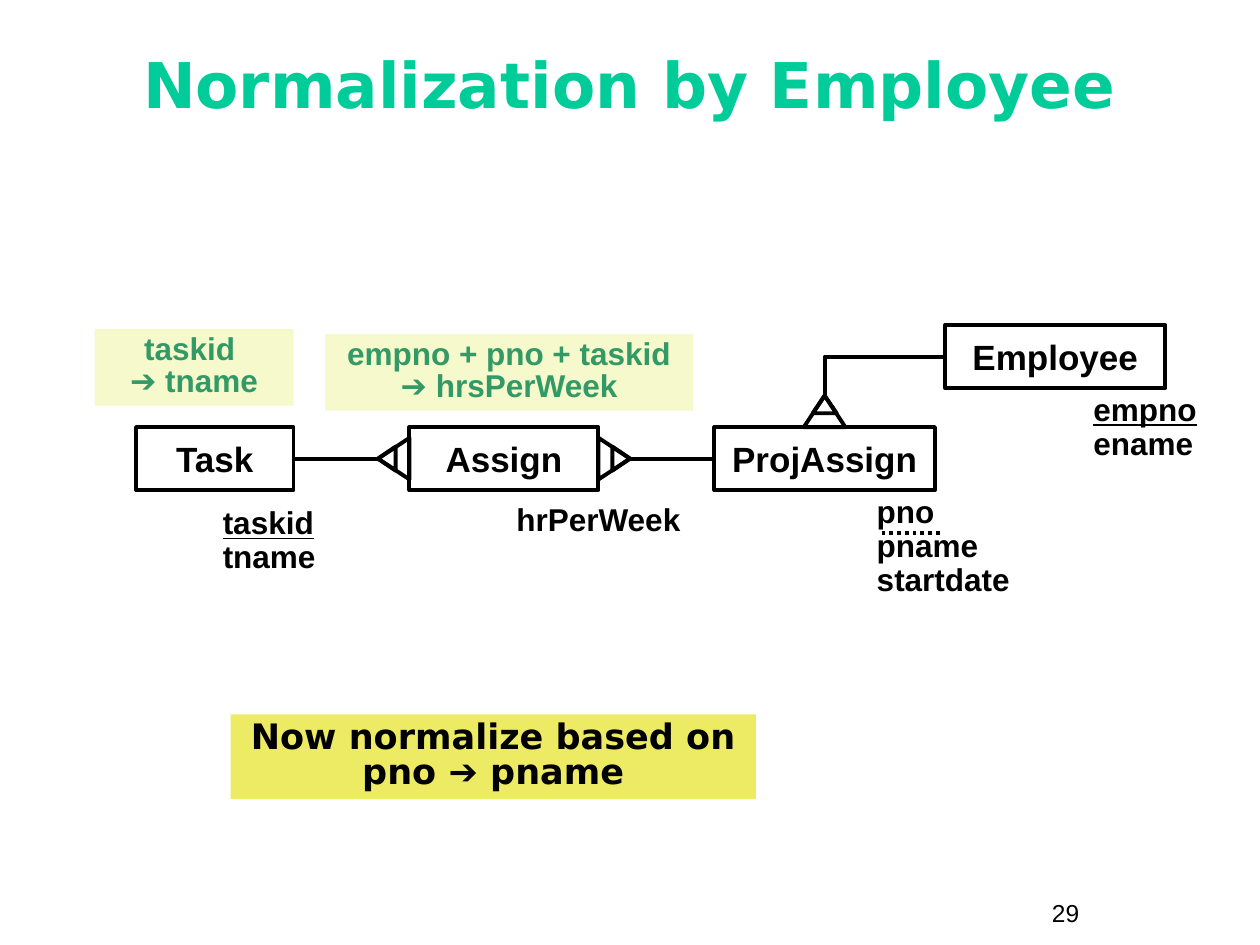
from collections import namedtuple
from math import cos, radians, sin

from lxml.etree import SubElement
from pptx import Presentation
from pptx.dml.color import RGBColor
from pptx.enum.dml import MSO_LINE_DASH_STYLE as Dash
from pptx.enum.shapes import MSO_CONNECTOR as Connector, MSO_SHAPE as Shape
from pptx.enum.text import MSO_ANCHOR as Anchor, MSO_AUTO_SIZE as AutoSize, PP_ALIGN as Align
from pptx.oxml.ns import qn
from pptx.util import Inches, Pt

BLACK = RGBColor(0x00, 0x00, 0x00)
TITLE_GREEN = RGBColor(0x00, 0xCC, 0x99)
RULE_GREEN = RGBColor(0x33, 0x99, 0x66)
PALE_YELLOW = RGBColor(0xF6, 0xF9, 0xCB)
YELLOW = RGBColor(0xED, 0xEA, 0x63)
LINE_WIDTH = Pt(2.25)
TOP, LEFT, RIGHT = 0, 1, 3

Box = namedtuple("Box", "left top width height")


def inch_box(*lengths):
    return Box(*map(Inches, lengths))


def apply_format(target, values):
    for name, value in values.items():
        setattr(target, name, value)


def write_text(frame, paragraphs, color=BLACK, frame_format=None, para_format=None, **font_format):
    apply_format(frame, {"word_wrap": True, "vertical_anchor": Anchor.TOP, **(frame_format or {})})
    for index, spans in enumerate(paragraphs):
        para = frame.add_paragraph() if index else frame.paragraphs[0]
        apply_format(para, para_format or {})
        for text, changes in spans:
            for number, line in enumerate(text.split("\n")):
                if number:
                    para.add_line_break()
                span = para.add_run()
                span.text = line
                apply_format(span.font, {"name": "Arial", "bold": True, **font_format, **changes})
                span.font.color.rgb = color


def add_outline(shapes, kind, box):
    shape = shapes.add_shape(kind, *box)
    shape.shadow.inherit = False
    shape.fill.background()
    shape.line.color.rgb = BLACK
    shape.line.width = LINE_WIDTH
    return shape


def add_line(page, kind, start, end):
    line = page.shapes.add_connector(kind, *start, *end)
    line.line.color.rgb = BLACK
    line.line.width = LINE_WIDTH
    SubElement(line._element.spPr, qn("a:effectLst"))
    return line


def draw_title(page, box, text):
    title = page.shapes.title
    apply_format(title, box._asdict())
    write_text(title.text_frame, [[(text, {})]], TITLE_GREEN,
               {"vertical_anchor": Anchor.MIDDLE, "auto_size": AutoSize.NONE},
               {"alignment": Align.CENTER, "line_spacing": 0.85},
               name="DejaVu Sans", size=Pt(36))


def draw_entity(page, box, name, label, attributes):
    entity = add_outline(page.shapes, Shape.RECTANGLE, box)
    write_text(entity.text_frame, [[(name, {})]],
               frame_format={"word_wrap": False, "vertical_anchor": Anchor.MIDDLE},
               para_format={"alignment": Align.CENTER, "space_before": Pt(12.5)}, size=Pt(20))
    text_box = page.shapes.add_textbox(box.left + label.left, box.top + label.top,
                                       label.width, label.height)
    write_text(text_box.text_frame, attributes, frame_format={"auto_size": AutoSize.SHAPE_TO_FIT_TEXT},
               para_format={"line_spacing": 0.9}, size=Pt(18))
    return entity


def draw_crows_foot(page, entity, side):
    angle = {TOP: 0, RIGHT: 90, LEFT: 270}[side]
    across, up = sin(radians(angle)), cos(radians(angle))
    middle_x = entity.left + entity.width / 2
    middle_y = entity.top + entity.height / 2
    edge_x = middle_x + across * entity.width / 2
    edge_y = middle_y - up * entity.height / 2
    foot = page.shapes.add_group_shape()
    for width, height, reach in ((0.33, 0.25, 0.125), (0.19, 0.14, 0.18)):
        center_x = edge_x + across * Inches(reach)
        center_y = edge_y - up * Inches(reach)
        box = Box(int(center_x - Inches(width) / 2), int(center_y - Inches(height) / 2),
                  Inches(width), Inches(height))
        add_outline(foot.shapes, Shape.ISOSCELES_TRIANGLE, box).rotation = angle
    return (int(edge_x + across * Inches(0.25)), int(edge_y - up * Inches(0.25)))


def draw_straight_relation(page, one, one_side, many, many_side):
    apex = draw_crows_foot(page, many, many_side)
    add_line(page, Connector.STRAIGHT, apex, apex).begin_connect(one, one_side)


def draw_bent_relation(page, one, many):
    apex = draw_crows_foot(page, many, TOP)
    start = (one.left, one.top + one.height // 2)
    line = add_line(page, Connector.ELBOW, start, apex)
    line._element.spPr.find(qn("a:prstGeom")).set("prst", "bentConnector2")


def draw_partial_key(page, entity):
    left, y = entity.left + Inches(1.33), entity.top + Inches(0.84)
    line = add_line(page, Connector.STRAIGHT, (left + Inches(0.46), y), (left, y))
    line.line.dash_style = Dash.ROUND_DOT


def draw_note(page, box, spans, fill, color, space_before, **font_format):
    note = page.shapes.add_shape(Shape.RECTANGLE, *box)
    note.shadow.inherit = False
    note.fill.solid()
    note.fill.fore_color.rgb = fill
    note.line.fill.background()
    write_text(note.text_frame, [spans], color, {"auto_size": AutoSize.SHAPE_TO_FIT_TEXT},
               {"alignment": Align.CENTER, "line_spacing": 0.85, "space_before": space_before},
               **font_format)


def draw_page_number(page, box, number):
    text_box = page.shapes.add_textbox(*box)
    write_text(text_box.text_frame, [[(number, {})]], para_format={"space_before": Pt(8.8)},
               size=Pt(14), bold=False)


def draw_diagram(page):
    key = {"underline": True}
    project = draw_entity(page, inch_box(5.67, 3.39, 1.75, 0.5), "ProjAssign",
                          inch_box(1.19, 0.5, 1.42, 0.91), [[("pno\npname\nstartdate", {})]])
    employee = draw_entity(page, inch_box(7.5, 2.58, 1.75, 0.5), "Employee",
                           inch_box(1.08, 0.5, 1.08, 0.64), [[("empno", key)], [("ename", {})]])
    assign = draw_entity(page, inch_box(3.25, 3.39, 1.5, 0.5), "Assign",
                         inch_box(0.75, 0.56, 1.67, 0.37), [[("hrPerWeek", {})]])
    task = draw_entity(page, inch_box(1.08, 3.39, 1.25, 0.5), "Task",
                       inch_box(0.59, 0.59, 1.67, 0.64), [[("taskid", key)], [("tname", {})]])
    draw_bent_relation(page, employee, project)
    draw_straight_relation(page, project, LEFT, assign, RIGHT)
    draw_straight_relation(page, task, RIGHT, assign, LEFT)
    draw_partial_key(page, project)


def main():
    deck = Presentation()
    deck.slide_width, deck.slide_height = Inches(10), Inches(7.5)
    page = deck.slides.add_slide(deck.slide_layouts[5])
    draw_title(page, inch_box(0.33, 0.25, 9.33, 0.92), "Normalization by Employee")
    draw_diagram(page)
    for box, text in (
        (inch_box(2.58, 2.65, 2.92, 0.61), "empno + pno + taskid\n➔ hrsPerWeek"),
        (inch_box(0.75, 2.61, 1.58, 0.61), "taskid \n➔ tname"),
    ):
        draw_note(page, box, [(text, {})], PALE_YELLOW, RULE_GREEN, Pt(11.2), size=Pt(18))
    draw_note(page, inch_box(1.83, 5.67, 4.17, 0.67),
              [("Now normalize based on\npno ", {}), ("➔", {"name": "Arial"}), (" pname", {})],
              YELLOW, BLACK, Pt(2.5), name="DejaVu Sans", size=Pt(20))
    draw_page_number(page, inch_box(8.25, 7.08, 0.92, 0.34), "29")
    deck.save("out.pptx")


if __name__ == "__main__":
    main()
